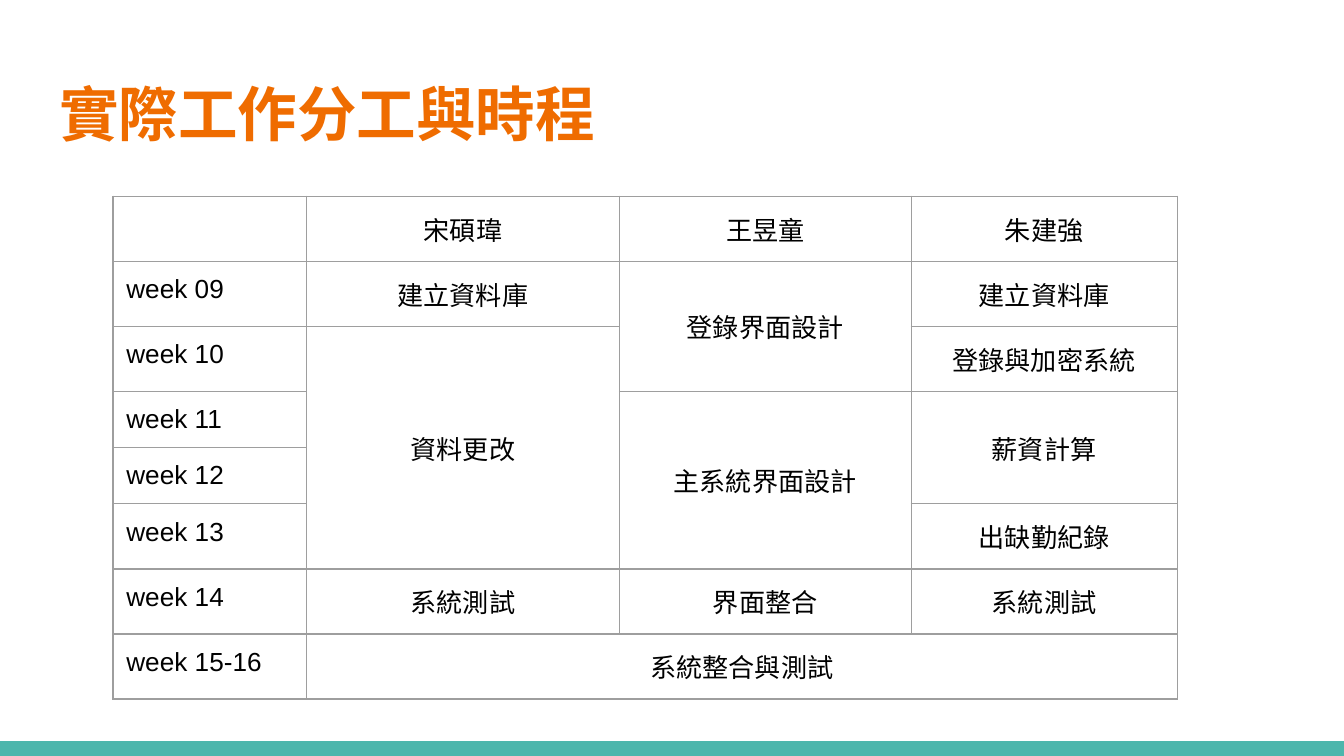
from dataclasses import dataclass

from lxml.etree import SubElement
from pptx import Presentation
from pptx.dml.color import RGBColor
from pptx.enum.shapes import MSO_SHAPE
from pptx.enum.text import MSO_ANCHOR, MSO_AUTO_SIZE, PP_ALIGN
from pptx.oxml.ns import qn
from pptx.util import Inches, Pt


@dataclass(frozen=True)
class Theme:
    title_color: str = "EF6C00"
    text_color: str = "000000"
    bar_color: str = "4DB6AC"
    border_color: str = "9E9E9E"
    title_font: str = "Roboto Condensed"
    body_font: str = "Arial"
    title_size: float = 31.9
    body_size: int = 14
    border_width: float = 0.75


THEME = Theme()
PAGE_WIDTH = Inches(10)
PAGE_HEIGHT = PAGE_WIDTH * 9 // 16
MARGIN = Inches(0.1)
COLUMN_WIDTHS = [1.44, 2.33, 2.17, 1.98]
ROW_HEIGHT = 0.34
SCHEDULE = [
    ["", "宋碩瑋", "王昱童", "朱建強"],
    ["week 09", "建立資料庫", "登錄界面設計", "建立資料庫"],
    ["week 10", "資料更改", "", "登錄與加密系統"],
    ["week 11", "", "主系統界面設計", "薪資計算"],
    ["week 12", "", "", ""],
    ["week 13", "", "", "出缺勤紀錄"],
    ["week 14", "系統測試", "界面整合", "系統測試"],
    ["week 15-16", "系統整合與測試", "", ""],
]
MERGES = [
    ((1, 2), (2, 2)),
    ((2, 1), (5, 1)),
    ((3, 2), (5, 2)),
    ((3, 3), (4, 3)),
    ((7, 1), (7, 3)),
]


def add_bar(page):
    height = Inches(0.11)
    bar = page.shapes.add_shape(
        MSO_SHAPE.RECTANGLE, Inches(0), PAGE_HEIGHT - height, PAGE_WIDTH, height
    )
    bar.shadow.inherit = False
    bar.fill.solid()
    bar.fill.fore_color.rgb = RGBColor.from_string(THEME.bar_color)
    bar.line.fill.background()


def format_text(para, font_name, size, color, bold=False):
    for span in para.runs:
        span.font.name = font_name
        span.font.size = Pt(size)
        span.font.bold = bold
        span.font.color.rgb = RGBColor.from_string(color)


def set_title(page, text):
    title = page.shapes.title
    title.left, title.top = Inches(0.34), Inches(0.45)
    title.width, title.height = Inches(9.32), Inches(0.77)
    frame = title.text_frame
    frame.text = text
    frame.word_wrap = True
    frame.auto_size = MSO_AUTO_SIZE.NONE
    frame.vertical_anchor = MSO_ANCHOR.MIDDLE
    frame.margin_left = frame.margin_right = MARGIN
    frame.margin_top = frame.margin_bottom = MARGIN
    para = frame.paragraphs[0]
    para.alignment = PP_ALIGN.LEFT
    format_text(para, THEME.title_font, THEME.title_size, THEME.title_color, True)


def set_borders(cell):
    properties = cell._tc.get_or_add_tcPr()
    for side in ("a:lnL", "a:lnR", "a:lnT", "a:lnB"):
        line = SubElement(properties, qn(side), w=str(Pt(THEME.border_width)))
        fill = SubElement(line, qn("a:solidFill"))
        SubElement(fill, qn("a:srgbClr"), val=THEME.border_color)


def format_cell(cell, text, centered, middle):
    set_borders(cell)
    cell.fill.background()
    cell.margin_left = cell.margin_right = MARGIN
    cell.margin_top = cell.margin_bottom = MARGIN
    cell.vertical_anchor = MSO_ANCHOR.MIDDLE if middle else MSO_ANCHOR.TOP
    para = cell.text_frame.paragraphs[0]
    para.alignment = PP_ALIGN.CENTER if centered else PP_ALIGN.LEFT
    if text:
        para.text = text
        format_text(para, THEME.body_font, THEME.body_size, THEME.text_color)
    else:
        SubElement(para._p, qn("a:endParaRPr"), sz=str(THEME.body_size * 100))


def add_schedule(page):
    table = page.shapes.add_table(
        len(SCHEDULE),
        len(COLUMN_WIDTHS),
        Inches(0.84),
        Inches(1.46),
        Inches(sum(COLUMN_WIDTHS)),
        Inches(ROW_HEIGHT * len(SCHEDULE)),
    ).table
    table.first_row = table.horz_banding = False
    for column, width in zip(table.columns, COLUMN_WIDTHS):
        column.width = Inches(width)
    for row in table.rows:
        row.height = Inches(ROW_HEIGHT)
    for first, last in MERGES:
        table.cell(*first).merge(table.cell(*last))
    for row_index, texts in enumerate(SCHEDULE):
        for column_index, text in enumerate(texts):
            cell = table.cell(row_index, column_index)
            middle = cell.span_height > 1 or text == "界面整合"
            format_cell(cell, text, column_index > 0, middle)


def main():
    deck = Presentation()
    deck.slide_width, deck.slide_height = PAGE_WIDTH, PAGE_HEIGHT
    page = deck.slides.add_slide(deck.slide_layouts[5])
    add_bar(page)
    set_title(page, "實際工作分工與時程")
    add_schedule(page)
    deck.save("out.pptx")


if __name__ == "__main__":
    main()
